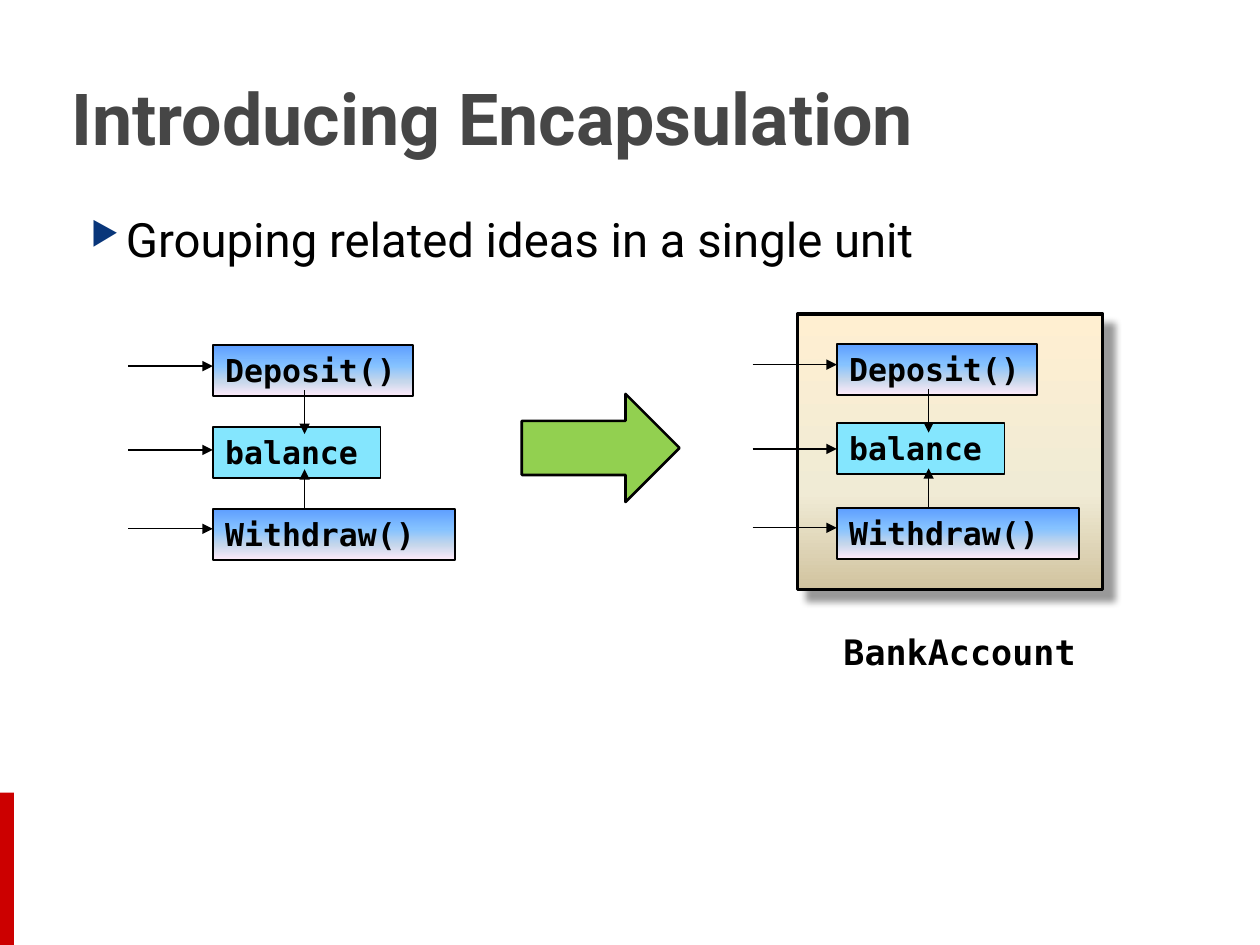
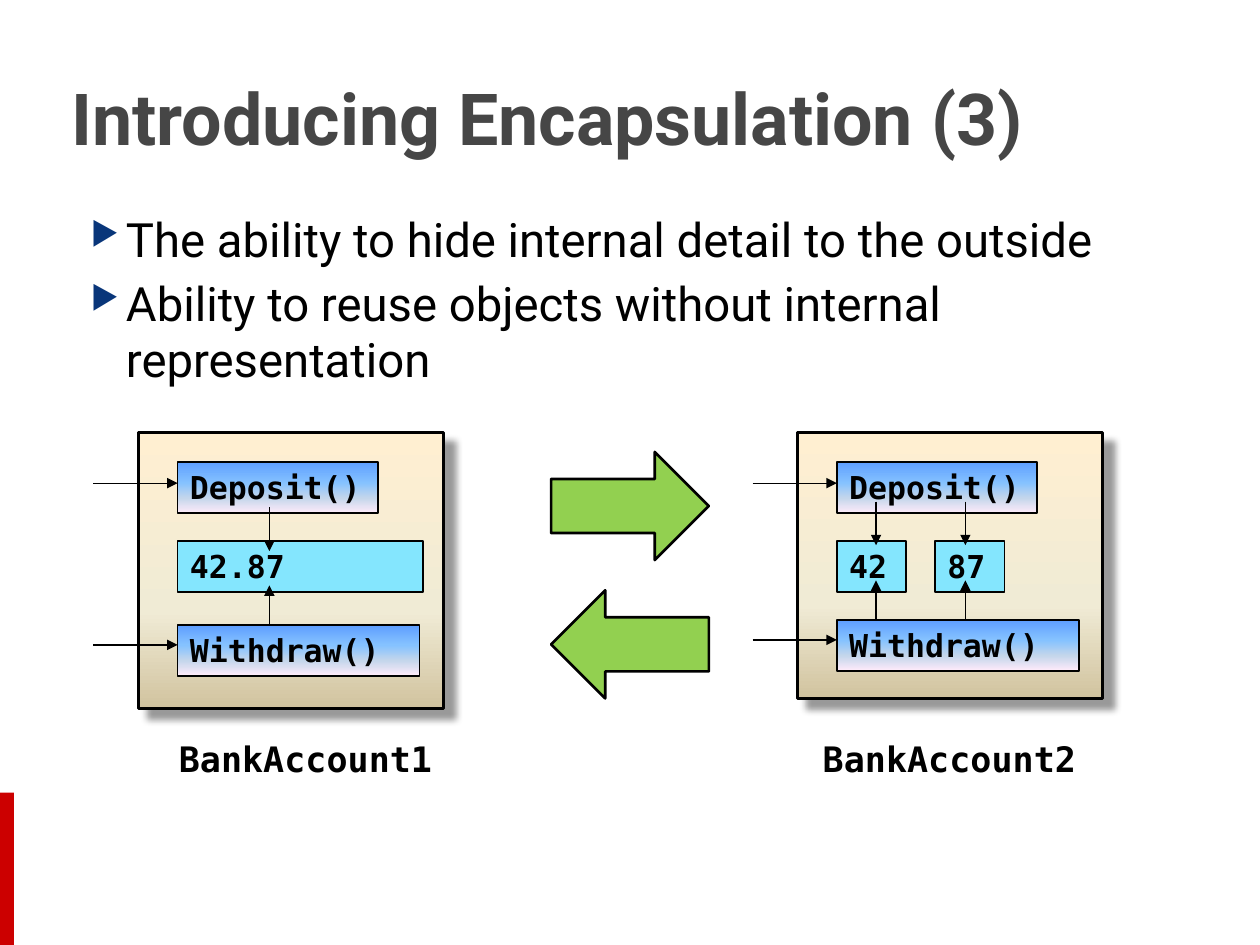
from lxml.etree import SubElement
from pptx import Presentation
from pptx.dml.color import RGBColor
from pptx.enum.shapes import MSO_CONNECTOR, MSO_SHAPE
from pptx.enum.text import MSO_ANCHOR, PP_ALIGN
from pptx.oxml.ns import qn
from pptx.util import Cm, Pt

THEME = {
    "ink": "000000",
    "band": "CC0000",
    "bullet": "09367A",
    "field": "84E6FE",
    "swap": "92D050",
    "method": [(0, "5E9EFF"), (40, "85C2FF"), (70, "C4D6EB"), (100, "FFEBFA")],
    "panel": [(0, "FFEFD1"), (65, "F0EBD5"), (100, "D1C39F")],
    "title": {
        "color": "464646",
        "font": {"name": "Roboto", "size": Pt(41), "bold": True},
        "frame": {"vertical_anchor": MSO_ANCHOR.MIDDLE},
        "para": {},
    },
    "body": {
        "color": "000000",
        "font": {"name": "Roboto", "size": Pt(27), "bold": False},
        "frame": {"vertical_anchor": MSO_ANCHOR.TOP},
        "para": {"space_before": Pt(4)},
    },
    "member": {
        "color": "000000",
        "font": {"name": "DejaVu Sans Mono", "size": Pt(18), "bold": True},
        "frame": {"vertical_anchor": MSO_ANCHOR.TOP},
        "para": {"alignment": PP_ALIGN.LEFT},
    },
    "caption": {
        "color": "000000",
        "font": {"name": "DejaVu Sans Mono", "size": Pt(20), "bold": True},
        "frame": {"vertical_anchor": MSO_ANCHOR.MIDDLE, "margin_left": 0,
                  "margin_right": 0, "margin_top": 0, "margin_bottom": 0},
        "para": {"alignment": PP_ALIGN.CENTER},
    },
}


def draw(page, kind, place, fill, line_width=0):
    shape = page.shapes.add_shape(kind, *map(Cm, place))
    shape.shadow.inherit = False
    if isinstance(fill, list):
        shape.fill.gradient()
        shape.fill.gradient_angle = 270
        stops = next(shape._element.spPr.iter(qn("a:gsLst")))
        stops.clear()
        for position, color in fill:
            stop = SubElement(stops, qn("a:gs"), pos=str(position * 1000))
            SubElement(stop, qn("a:srgbClr"), val=color)
    else:
        shape.fill.solid()
        shape.fill.fore_color.rgb = RGBColor.from_string(fill)
    if line_width:
        shape.line.color.rgb = RGBColor.from_string(THEME["ink"])
        shape.line.width = Pt(line_width)
    else:
        shape.line.fill.background()
    return shape


def write(box, lines, style):
    frame = box.text_frame
    frame.word_wrap = True
    for name, value in style["frame"].items():
        setattr(frame, name, value)
    frame.text = "\n".join(lines)
    for para in frame.paragraphs:
        for name, value in style["para"].items():
            setattr(para, name, value)
        for span in para.runs:
            for name, value in style["font"].items():
                setattr(span.font, name, value)
            span.font.color.rgb = RGBColor.from_string(style["color"])


SLIDES = [
    {
        "title": "Introducing Encapsulation",
        "bullets": ["Grouping related ideas in a single unit"],
        "swaps": [(11.02, 7.44, 270)],
        "diagrams": [
            {"left": 4.29, "deposit": 6.96, "field": 8.61, "withdraw": 10.26,
             "fields": [("balance", 0, 3.38, 1.85)], "field_entry": True,
             "panel_height": 0, "caption": None},
            {"left": 16.87, "deposit": 6.93, "field": 8.53, "withdraw": 10.24,
             "fields": [("balance", 0, 3.38, 1.85)], "field_entry": True,
             "panel_height": 5.56, "caption": ("BankAccount", 15.88, 12.7, 6.93)},
        ],
    },
    {
        "title": "Introducing Encapsulation (3)",
        "bullets": ["The ability to hide internal detail to the outside",
                    "Ability to reuse objects without internal representation"],
        "swaps": [(11.61, 8.61, 270), (11.61, 11.4, 90)],
        "diagrams": [
            {"left": 3.58, "deposit": 9.32, "field": 10.9, "withdraw": 12.6,
             "fields": [("42.87", 0, 4.95, 1.85)], "field_entry": False,
             "panel_height": 5.56, "caption": ("BankAccount1", 2.39, 14.86, 7.54)},
            {"left": 16.87, "deposit": 9.32, "field": 10.9, "withdraw": 12.5,
             "fields": [("42", 0, 1.4, 0.79), ("87", 1.98, 1.4, 2.59)],
             "field_entry": False,
             "panel_height": 5.36, "caption": ("BankAccount2", 15.47, 14.86, 7.34)},
        ],
    },
]

deck = Presentation()
deck.slide_width, deck.slide_height = Cm(25.4), Cm(19.05)

for content in SLIDES:
    page = deck.slides.add_slide(deck.slide_layouts[6])
    draw(page, MSO_SHAPE.RECTANGLE, (0, 15.98, 0.28, 3.07), THEME["band"])

    title = page.shapes.add_textbox(Cm(1.19), Cm(0.76), Cm(22.94), Cm(3.18))
    write(title, [content["title"]], THEME["title"])

    body = page.shapes.add_textbox(Cm(1.27), Cm(4.11), Cm(22.83), Cm(12.57))
    write(body, content["bullets"], THEME["body"])
    for para in body.text_frame.paragraphs:
        properties = para._p.get_or_add_pPr()
        properties.set("marL", str(Cm(1.02)))
        properties.set("indent", str(Cm(-0.71)))
        bullet_color = SubElement(properties, qn("a:buClr"))
        SubElement(bullet_color, qn("a:srgbClr"), val=THEME["bullet"])
        SubElement(properties, qn("a:buSzPct"), val="68000")
        SubElement(properties, qn("a:buChar"), char="▶")

    for diagram in content["diagrams"]:
        left, deposit, withdraw = (diagram[key] for key in ("left", "deposit", "withdraw"))

        if diagram["panel_height"]:
            panel = draw(page, MSO_SHAPE.RECTANGLE,
                         (left - 0.79, deposit - 0.6, 6.15, diagram["panel_height"]),
                         THEME["panel"], 2)
            effects = panel._element.spPr.find(qn("a:effectLst"))
            shadow = SubElement(effects, qn("a:outerShdw"), blurRad=str(Pt(4)),
                                dist=str(Pt(8)), dir="2700000", algn="tl", rotWithShape="0")
            shade = SubElement(shadow, qn("a:srgbClr"), val=THEME["ink"])
            SubElement(shade, qn("a:alpha"), val="40000")

        members = [("Deposit()", left, deposit, 4.04, THEME["method"]),
                   ("Withdraw()", left, withdraw, 4.88, THEME["method"])]
        entries = [deposit + 0.42, withdraw + 0.4]
        if diagram["field_entry"]:
            entries.append(withdraw - 1.19)
        arrows = [(left - 1.7, y, left, y) for y in entries]
        call_start = deposit + (0.91 if len(diagram["fields"]) == 1 else 0.79)
        for name, offset, width, arrow_offset in diagram["fields"]:
            members.append((name, left + offset, diagram["field"], width, THEME["field"]))
            x = left + arrow_offset
            arrows += [(x, call_start, x, call_start + 0.88),
                       (x, withdraw, x, withdraw - 0.8)]

        for name, x, y, width, fill in members:
            box = draw(page, MSO_SHAPE.RECTANGLE, (x, y, width, 1.03), fill, 1)
            write(box, [name], THEME["member"])

        for ends in arrows:
            arrow = page.shapes.add_connector(MSO_CONNECTOR.STRAIGHT, *map(Cm, ends))
            arrow.line.color.rgb = RGBColor.from_string(THEME["ink"])
            arrow.line.width = Pt(0.75)
            outline = arrow._element.spPr.find(qn("a:ln"))
            SubElement(outline, qn("a:tailEnd"), type="triangle")
            SubElement(arrow._element.spPr, qn("a:effectLst"))

        if diagram["caption"]:
            name, x, y, width = diagram["caption"]
            caption = page.shapes.add_textbox(Cm(x), Cm(y), Cm(width), Cm(0.86))
            write(caption, [name], THEME["caption"])

    for x, y, rotation in content["swaps"]:
        swap = draw(page, MSO_SHAPE.DOWN_ARROW, (x, y, 2.18, 3.18), THEME["swap"], 1.5)
        swap.rotation = rotation

deck.save("out.pptx")
